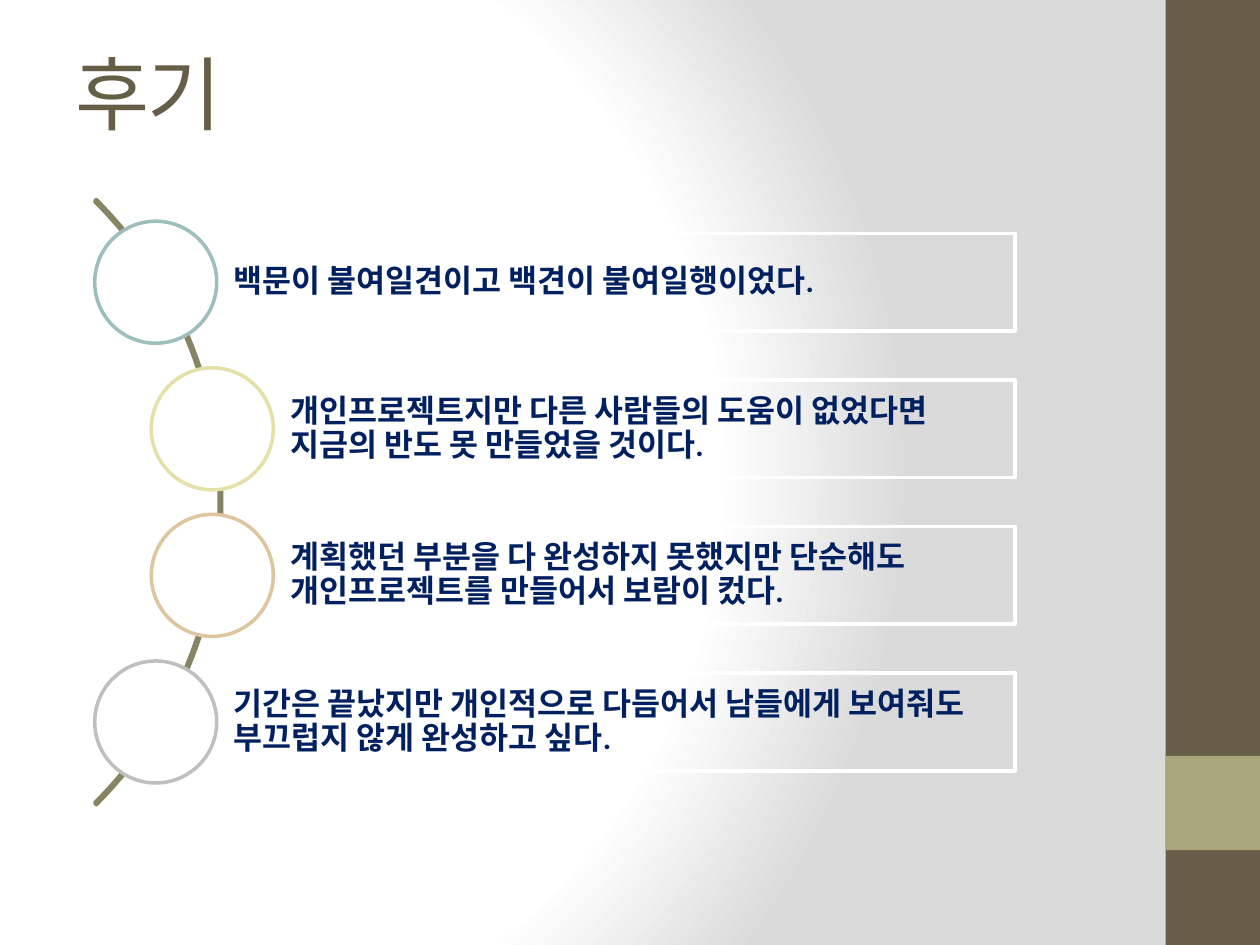
"""Build the closing remarks slide with four notes along an arc."""
import dataclasses
import typing

import pptx
import pptx.dml.color
import pptx.enum.shapes
import pptx.enum.text
import pptx.oxml
import pptx.oxml.ns
import pptx.util

Cm = pptx.util.Cm
Pt = pptx.util.Pt
Shape = pptx.enum.shapes.MSO_SHAPE

COLORS = {
    "white": "FFFFFF", "shade": "DADADA", "brown": "675E47", "olive": "A9A57C",
    "arc": "878463", "navy": "002060", "teal": "9CBEBD", "yellow": "E4E0A7",
    "tan": "DEC59E", "gray": "BFBFBF",
}
FIRST_CENTER, PITCH = 5.69, 2.955
NOTE_RIGHT, NOTE_HEIGHT, CIRCLE_SIZE = 20.46, 1.97, 2.46
ARC_SIZE = 17.25


@dataclasses.dataclass
class Note:
    text: str
    color: str
    left: float


NOTES = [
    Note("백문이 불여일견이고 백견이 불여일행이었다.", "teal", 3.14),
    Note("개인프로젝트지만 다른 사람들의 도움이 없었다면 지금의 반도 못 만들었을 것이다.", "yellow", 4.28),
    Note("계획했던 부분을 다 완성하지 못했지만 단순해도 개인프로젝트를 만들어서 보람이 컸다.", "tan", 4.28),
    Note("기간은 끝났지만 개인적으로 다듬어서 남들에게 보여줘도 부끄럽지 않게 완성하고 싶다.", "gray", 3.14),
]


def rgb(name: str) -> pptx.dml.color.RGBColor:
    return pptx.dml.color.RGBColor.from_string(COLORS[name])


def add_box(page, kind, left: float, top: float, width: float, height: float,
            fill: typing.Optional[str] = None, line: typing.Optional[str] = None):
    box = page.shapes.add_shape(kind, Cm(left), Cm(top), Cm(width), Cm(height))
    box.shadow.inherit = False
    if fill:
        box.fill.solid()
        box.fill.fore_color.rgb = rgb(fill)
    else:
        box.fill.background()
    if line:
        box.line.color.rgb = rgb(line)
        box.line.width = Pt(2)
    else:
        box.line.fill.background()
    return box


def write(box, text: str, font: str, size: int, color: str, bold: bool):
    box.text_frame.word_wrap = True
    para = box.text_frame.paragraphs[0]
    para.text = text
    para.alignment = pptx.enum.text.PP_ALIGN.LEFT
    para.font.name = font
    para.font.size = Pt(size)
    para.font.bold = bold
    para.font.color.rgb = rgb(color)
    return para


def paint_background(page) -> None:
    page.background.fill.solid()
    solid = page.element.find(".//" + pptx.oxml.ns.qn("a:solidFill"))
    stops = "".join(
        f'<a:gs pos="{position}"><a:srgbClr val="{COLORS[name]}"/></a:gs>'
        for position, name in ((0, "white"), (75000, "white"), (100000, "shade"))
    )
    gradient = pptx.oxml.parse_xml(
        f'<a:gradFill {pptx.oxml.ns.nsdecls("a")} rotWithShape="1"><a:gsLst>{stops}</a:gsLst>'
        '<a:path path="circle"><a:fillToRect l="20000" t="50000" r="100000" b="50000"/>'
        "</a:path></a:gradFill>"
    )
    solid.getparent().replace(solid, gradient)


def add_title(page, text: str) -> None:
    box = page.shapes.add_textbox(Cm(1.27), Cm(0.76), Cm(21.16), Cm(3.18))
    para = write(box, text, "Cambria", 46, "brown", False)
    para.runs[0].font._element.set("spc", "-100")


def add_arc(page) -> None:
    center = FIRST_CENTER + PITCH * (len(NOTES) - 1) / 2
    arc = add_box(page, Shape.BLOCK_ARC, -12.78, center - ARC_SIZE / 2,
                  ARC_SIZE, ARC_SIZE, line="arc")
    for index, value in enumerate((189, 27, 0.003)):
        arc.adjustments[index] = value


def add_note(page, note: Note, center: float) -> None:
    box = add_box(page, Shape.RECTANGLE, note.left, center - NOTE_HEIGHT / 2,
                  NOTE_RIGHT - note.left, NOTE_HEIGHT, line="white")
    frame = box.text_frame
    frame.vertical_anchor = pptx.enum.text.MSO_ANCHOR.MIDDLE
    frame.margin_left = Cm(1.57)
    frame.margin_right = frame.margin_top = frame.margin_bottom = Cm(0.13)
    para = write(box, note.text, "Calibri", 18, "navy", True)
    para.line_spacing = 0.9
    para.space_after = Pt(6)
    radius = CIRCLE_SIZE / 2
    add_box(page, Shape.OVAL, note.left - radius, center - radius,
            CIRCLE_SIZE, CIRCLE_SIZE, "white", note.color)


def main() -> None:
    deck = pptx.Presentation()
    deck.slide_width, deck.slide_height = Cm(25.4), Cm(19.05)
    page = deck.slides.add_slide(deck.slide_layouts[6])
    paint_background(page)
    add_box(page, Shape.RECTANGLE, 23.5, 0, 1.9, 19.05, "brown")
    add_box(page, Shape.RECTANGLE, 23.5, 15.24, 1.9, 1.9, "olive")
    add_title(page, "후기")
    add_arc(page)
    for index, note in enumerate(NOTES):
        add_note(page, note, FIRST_CENTER + index * PITCH)
    deck.save("out.pptx")


if __name__ == "__main__":
    main()
